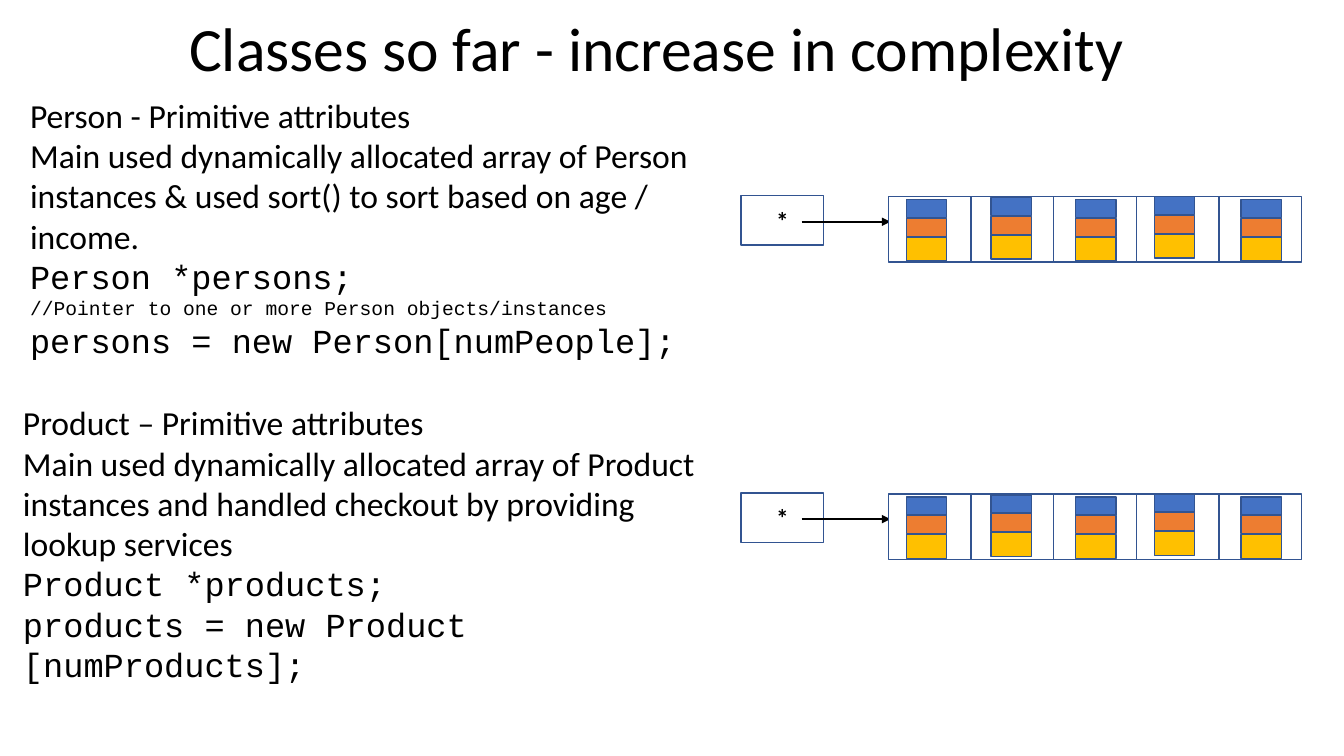
"""Build a slide on how the Person and Product classes grow in complexity."""
import dataclasses

import lxml.etree
import pptx
import pptx.dml.color
import pptx.enum.shapes
import pptx.enum.text
import pptx.oxml.ns
import pptx.util

Inches = pptx.util.Inches
Pt = pptx.util.Pt
ALIGN = pptx.enum.text.PP_ALIGN


@dataclasses.dataclass(frozen=True)
class Theme:
    """Colours, fonts and type sizes of the slide."""
    ink: str = "000000"
    paper: str = "FFFFFF"
    outline: str = "325491"
    attributes: tuple = ("4472C4", "ED7D31", "FFC000")
    prose: str = "Calibri"
    code: str = "Courier New"
    title_size: int = 44
    body_size: int = 24
    pointer_size: int = 18
    comment_size: int = 14


def rgb(colour):
    """Turn a hex string into a colour."""
    return pptx.dml.color.RGBColor.from_string(colour)


class SlideBuilder:
    """Draws text, boxes and arrows in one theme on one slide."""

    def __init__(self, slide, theme):
        self.slide = slide
        self.theme = theme

    def fill_line(self, paragraph, text, font, size, align=ALIGN.LEFT, bold=False):
        """Set a paragraph's text and format its run."""
        paragraph.text = text
        paragraph.alignment = align
        style = paragraph.runs[0].font
        style.name, style.size, style.bold = font, Pt(size), bold
        style.color.rgb = rgb(self.theme.ink)

    def text(self, left, top, width, height, lines, align=ALIGN.LEFT):
        """Add a text box of (text, font, size) lines."""
        box = self.slide.shapes.add_textbox(
            Inches(left), Inches(top), Inches(width), Inches(height))
        frame = box.text_frame
        frame.word_wrap = True
        frame.auto_size = pptx.enum.text.MSO_AUTO_SIZE.SHAPE_TO_FIT_TEXT
        for index, (line, font, size) in enumerate(lines):
            paragraph = frame.add_paragraph() if index else frame.paragraphs[0]
            self.fill_line(paragraph, line, font, size, align)

    def box(self, shapes, left, top, width, height, fill):
        """Add an outlined rectangle."""
        rectangle = shapes.add_shape(
            pptx.enum.shapes.MSO_SHAPE.RECTANGLE,
            Inches(left), Inches(top), Inches(width), Inches(height))
        rectangle.shadow.inherit = False
        rectangle.fill.solid()
        rectangle.fill.fore_color.rgb = rgb(fill)
        rectangle.line.color.rgb = rgb(self.theme.outline)
        rectangle.line.width = Pt(1)
        return rectangle

    def arrow(self, shapes, left, right, y):
        """Add a horizontal arrow pointing right."""
        link = shapes.add_connector(
            pptx.enum.shapes.MSO_CONNECTOR.STRAIGHT,
            Inches(left), Inches(y), Inches(right), Inches(y))
        link.line.color.rgb = rgb(self.theme.ink)
        link.line.width = Pt(1.5)
        qn = pptx.oxml.ns.qn
        properties = link._element.spPr
        lxml.etree.SubElement(properties.find(qn("a:ln")), qn("a:tailEnd"), type="triangle")
        lxml.etree.SubElement(properties, qn("a:effectLst"))

    def instance(self, shapes, left, top):
        """Add one object as a stack of its attributes."""
        for row, colour in enumerate(self.theme.attributes):
            height = 0.24 if row == 2 else 0.18
            self.box(shapes, left, top + row * 0.37 / 2, 0.4, height, colour)

    def object_array(self, top):
        """Add a pointer and the array of five objects it points to."""
        shapes = self.slide.shapes.add_group_shape().shapes
        pointer = self.box(shapes, 7.35, top - 0.01, 0.82, 0.49, self.theme.paper)
        pointer.text_frame.vertical_anchor = pptx.enum.text.MSO_ANCHOR.MIDDLE
        self.fill_line(pointer.text_frame.paragraphs[0], "*", self.theme.prose,
                       self.theme.pointer_size, ALIGN.CENTER, bold=True)
        self.arrow(shapes, 7.95, 8.83, top + 0.25)
        for cell in range(5):
            self.box(shapes, 8.81 + cell * 0.82, top, 0.82, 0.65, self.theme.paper)
        placements = ((8.99, 0.03), (9.83, 0.01), (10.67, 0.03), (11.45, 0), (12.31, 0.03))
        for left, drop in placements:
            self.instance(shapes, left, top + drop)


def main():
    """Build and save the slide."""
    presentation = pptx.Presentation()
    presentation.slide_width = Inches(13.33)
    presentation.slide_height = Inches(7.5)
    theme = Theme()
    builder = SlideBuilder(
        presentation.slides.add_slide(presentation.slide_layouts[6]), theme)
    prose = (theme.prose, theme.body_size)
    code = (theme.code, theme.body_size)

    builder.text(0.2, 0.89, 7.04, 2.76, [
        ("Person - Primitive attributes", *prose),
        ("Main used dynamically allocated array of Person instances "
         "& used sort() to sort based on age / income.", *prose),
        ("Person *persons;", *code),
        ("//Pointer to one or more Person objects/instances", theme.code, theme.comment_size),
        ("persons = new Person[numPeople];", *code),
    ])
    builder.text(0, 0.05, 13.03, 0.84, [
        ("Classes so far - increase in complexity", theme.prose, theme.title_size),
    ], ALIGN.CENTER)
    for array_top in (1.95, 4.9):
        builder.object_array(array_top)
    builder.text(0.13, 3.94, 6.9, 3.33, [
        ("Product – Primitive attributes", *prose),
        ("Main used dynamically allocated array of Product instances "
         "and handled checkout by providing lookup services", *prose),
        ("Product *products;", *code),
        ("products = new Product [numProducts];", *code),
    ])
    presentation.save("out.pptx")


if __name__ == "__main__":
    main()
